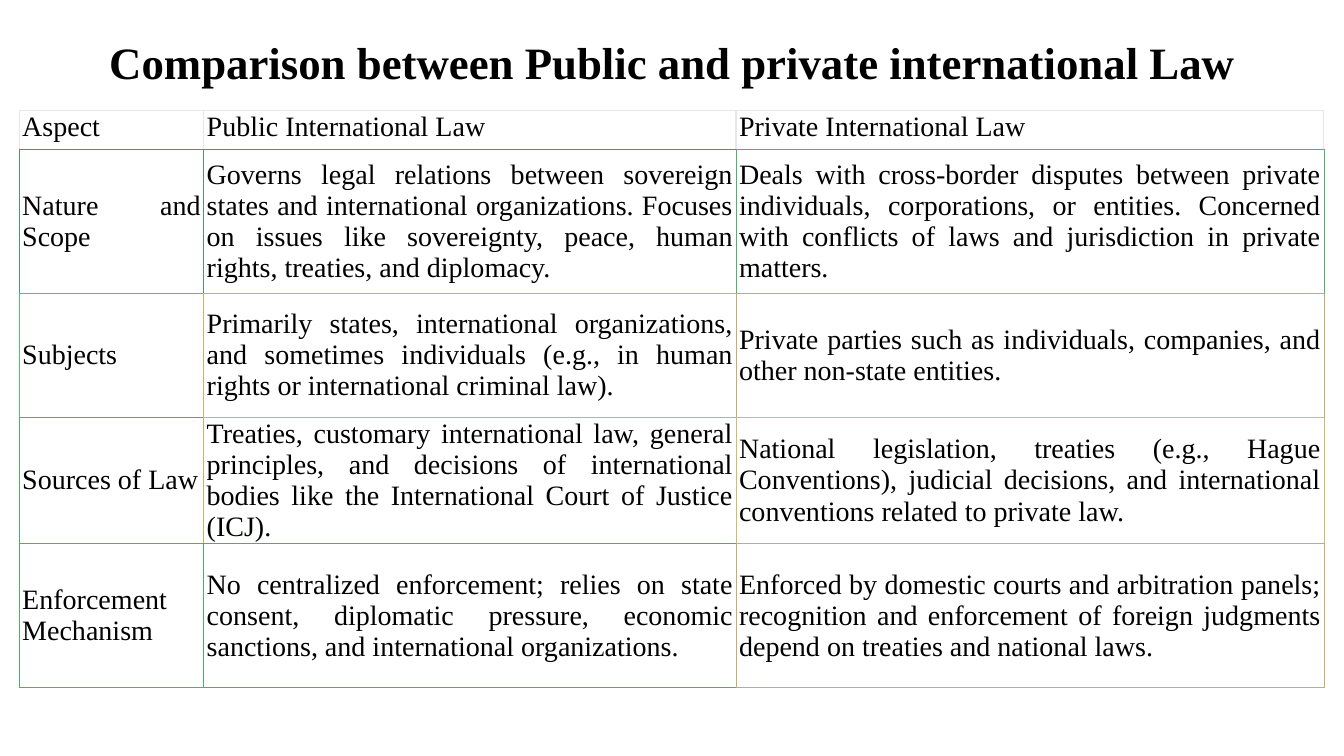
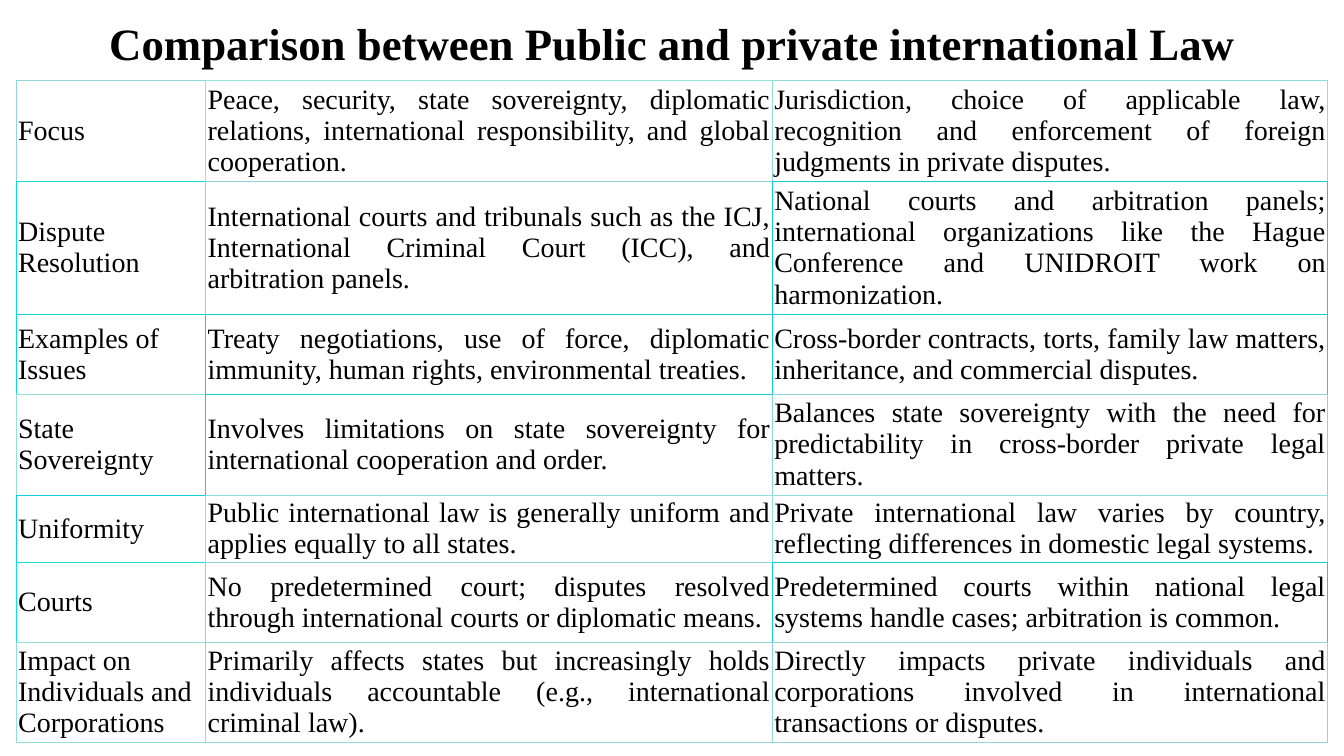
"""Build two slides that compare public and private international law in tables."""
from lxml.etree import SubElement
from pptx import Presentation
from pptx.dml.color import RGBColor
from pptx.enum.text import MSO_ANCHOR as Anchor, MSO_AUTO_SIZE as AutoSize, PP_ALIGN as Align
from pptx.oxml.ns import qn
from pptx.util import Inches, Pt

THEME = {
    "font": "Times New Roman",
    "text": "000000",
    "title_size": 32,
    "body_size": 20,
    "header_line": "E5E7EB",
    "header_width": 1,
    "line_width": 0.5,
}
SLIDE_SIZE = (13.33, 7.5)
TITLE = "Comparison between Public and private international Law"
TITLE_LEFT, TITLE_WIDTH, TITLE_HEIGHT = 0.92, 11.5, 0.92
HEADER_LINES = (THEME["header_line"],) * 3

SLIDES = [
    {
        "title_top": 0.18,
        "place": (0.19, 1.1, 12.94, 5.83),
        "columns": (1.83, 5.28, 5.83),
        "heights": (0.38, 1.43, 1.23, 1.13, 1.43),
        "margin": 0.03,
        "label_align": Align.JUSTIFY,
        "has_header": True,
        "rows": [
            ("Aspect", "Public International Law", "Private International Law"),
            ("Nature and Scope",
             "Governs legal relations between sovereign states and international organizations. "
             "Focuses on issues like sovereignty, peace, human rights, treaties, and diplomacy.",
             "Deals with cross-border disputes between private individuals, corporations, or entities. "
             "Concerned with conflicts of laws and jurisdiction in private matters."),
            ("Subjects",
             "Primarily states, international organizations, and sometimes individuals "
             "(e.g., in human rights or international criminal law).",
             "Private parties such as individuals, companies, and other non-state entities."),
            ("Sources of Law",
             "Treaties, customary international law, general principles, and decisions of "
             "international bodies like the International Court of Justice (ICJ).",
             "National legislation, treaties (e.g., Hague Conventions), judicial decisions, "
             "and international conventions related to private law."),
            ("Enforcement Mechanism",
             "No centralized enforcement; relies on state consent, diplomatic pressure, "
             "economic sanctions, and international organizations.",
             "Enforced by domestic courts and arbitration panels; recognition and enforcement "
             "of foreign judgments depend on treaties and national laws."),
        ],
        "lines": [
            HEADER_LINES,
            ("50966A", "50966A", "50B26A"),
            ("50C46A", "D0AF6A", "D0A76A"),
            ("50AD6A", "D0AF6A", "D0BD6A"),
            ("50B06A", "50AB6A", "D0A96A"),
        ],
    },
    {
        "title_top": 0,
        "place": (0.16, 0.8, 13.01, 6.7),
        "columns": (1.88, 5.62, 5.51),
        "heights": (1, 1.32, 0.79, 1, 0.67, 0.79, 1),
        "margin": 0.02,
        "label_align": Align.LEFT,
        "has_header": False,
        "rows": [
            ("Focus",
             "Peace, security, state sovereignty, diplomatic relations, international "
             "responsibility, and global cooperation.",
             "Jurisdiction, choice of applicable law, recognition and enforcement of foreign "
             "judgments in private disputes."),
            ("Dispute Resolution",
             "International courts and tribunals such as the ICJ, International Criminal Court "
             "(ICC), and arbitration panels.",
             "National courts and arbitration panels; international organizations like the Hague "
             "Conference and UNIDROIT work on harmonization."),
            ("Examples of Issues",
             "Treaty negotiations, use of force, diplomatic immunity, human rights, "
             "environmental treaties.",
             "Cross-border contracts, torts, family law matters, inheritance, and commercial "
             "disputes."),
            ("State Sovereignty",
             "Involves limitations on state sovereignty for international cooperation and order.",
             "Balances state sovereignty with the need for predictability in cross-border "
             "private legal matters."),
            ("Uniformity",
             "Public international law is generally uniform and applies equally to all states.",
             "Private international law varies by country, reflecting differences in domestic "
             "legal systems."),
            ("Courts",
             "No predetermined court; disputes resolved through international courts or "
             "diplomatic means.",
             "Predetermined courts within national legal systems handle cases; arbitration is "
             "common."),
            ("Impact on Individuals and Corporations",
             "Primarily affects states but increasingly holds individuals accountable (e.g., "
             "international criminal law).",
             "Directly impacts private individuals and corporations involved in international "
             "transactions or disputes."),
        ],
        "lines": [
            ("90D7DB", "90E5DB", "90DDDB"),
            ("10D9DB", "90D4DB", "10CDDB"),
            ("10D6DB", "10CDDB", "10D0DB"),
            ("90E2DB", "10CEDB", "90D4DB"),
            ("10CEDB", "90E0DB", "90E0DB"),
            ("10E1DB", "90D4DB", "10CEDB"),
            ("90E0DB", "90D8DB", "90D5DB"),
        ],
    },
]


def set_values(target, values):
    """Set each named attribute of the target."""
    for name, value in values.items():
        setattr(target, name, value)


def format_paragraph(paragraph, size, bold, **values):
    """Apply the theme font and the given paragraph values."""
    set_values(paragraph, values)
    set_values(paragraph.font, {"name": THEME["font"], "size": Pt(size), "bold": bold})
    paragraph.font.color.rgb = RGBColor.from_string(THEME["text"])


def add_title(slide, top):
    """Place and format the title placeholder."""
    title = slide.shapes.title
    set_values(title, {
        "left": Inches(TITLE_LEFT), "top": Inches(top),
        "width": Inches(TITLE_WIDTH), "height": Inches(TITLE_HEIGHT),
    })
    frame = title.text_frame
    set_values(frame, {
        "text": TITLE, "word_wrap": True,
        "auto_size": AutoSize.NONE, "vertical_anchor": Anchor.MIDDLE,
    })
    format_paragraph(frame.paragraphs[0], THEME["title_size"], True,
                     alignment=Align.CENTER, line_spacing=0.9)


def add_borders(cell, lines, row, column):
    """Draw borders: right and bottom edges take the colour of the next cell."""
    own = lines[row][column]
    right = lines[row][min(column + 1, len(lines[row]) - 1)]
    below = lines[min(row + 1, len(lines) - 1)][column]
    properties = cell._tc.get_or_add_tcPr()
    for side, colour in (("L", own), ("R", right), ("T", own), ("B", below)):
        is_header = colour == THEME["header_line"]
        width = THEME["header_width" if is_header else "line_width"]
        line = SubElement(properties, qn(f"a:ln{side}"), w=str(Pt(width)))
        SubElement(SubElement(line, qn("a:solidFill")), qn("a:srgbClr"), val=colour)


def add_comparison(slide, content):
    """Add the comparison table."""
    rows, columns = content["rows"], content["columns"]
    place = [Inches(length) for length in content["place"]]
    graphic = slide.shapes.add_table(len(rows), len(columns), *place)
    table = graphic.table
    set_values(table, {"first_row": False, "horz_banding": False})
    for column, width in zip(table.columns, columns):
        column.width = Inches(width)
    for row, height in zip(table.rows, content["heights"]):
        row.height = Inches(height)
    graphic.height = place[3]

    side, edge = Inches(content["margin"]), Inches(0.01)
    for row, texts in enumerate(rows):
        is_header = content["has_header"] and row == 0
        for column, text in enumerate(texts):
            cell = table.cell(row, column)
            set_values(cell, {
                "text": text,
                "margin_left": side, "margin_right": side,
                "margin_top": edge, "margin_bottom": edge,
                "vertical_anchor": Anchor.TOP if is_header else Anchor.MIDDLE,
            })
            add_borders(cell, content["lines"], row, column)
            cell.fill.background()
            alignment = Align.JUSTIFY if column else content["label_align"]
            format_paragraph(cell.text_frame.paragraphs[0], THEME["body_size"], False,
                             alignment=alignment)


def main():
    """Build and save the presentation."""
    presentation = Presentation()
    presentation.slide_width, presentation.slide_height = map(Inches, SLIDE_SIZE)
    title_only = presentation.slide_layouts[5]
    for content in SLIDES:
        slide = presentation.slides.add_slide(title_only)
        add_title(slide, content["title_top"])
        add_comparison(slide, content)
    presentation.save("out.pptx")


if __name__ == "__main__":
    main()
